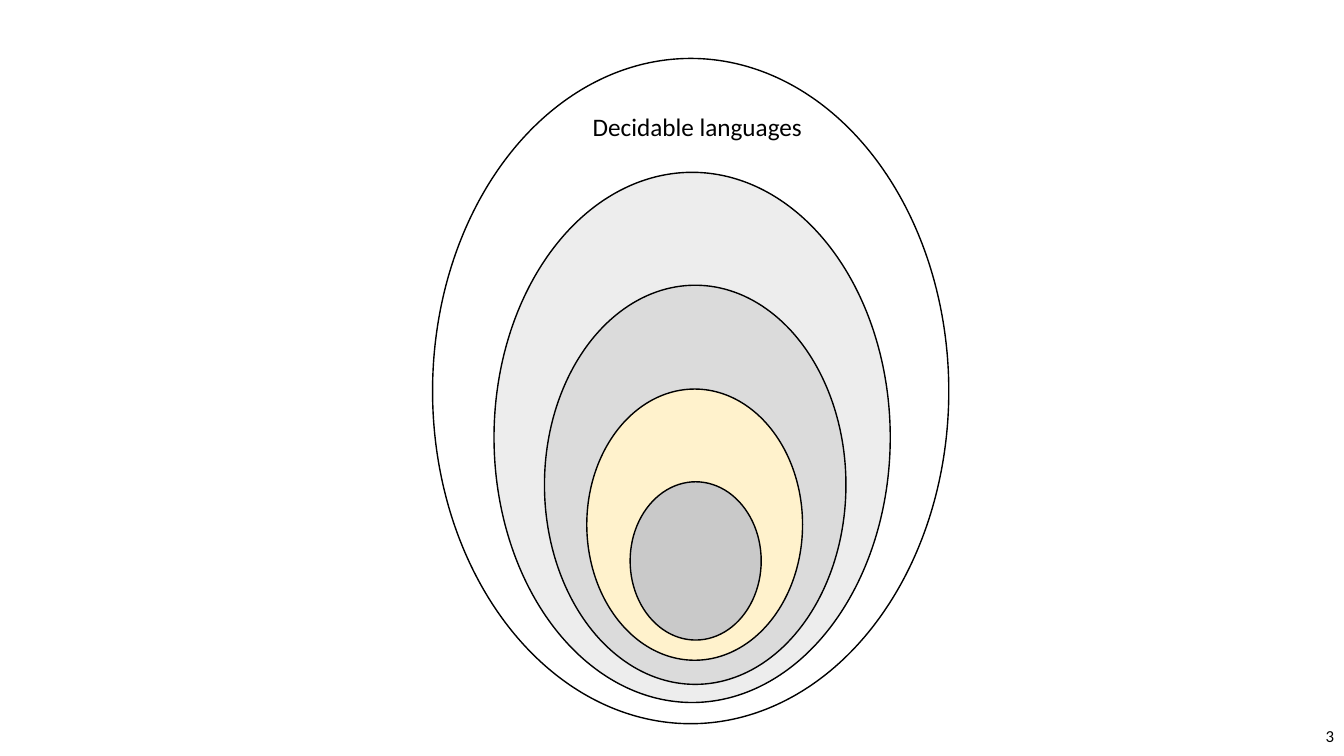
from typing import NamedTuple, Optional

from pptx import Presentation
from pptx import util as u
from pptx.dml.color import RGBColor
from pptx.enum import shapes, text

BLACK = RGBColor(0x00, 0x00, 0x00)
WHITE = RGBColor(0xFF, 0xFF, 0xFF)
PALE = RGBColor(0xED, 0xED, 0xED)
LIGHT = RGBColor(0xDB, 0xDB, 0xDB)
CREAM = RGBColor(0xFF, 0xF2, 0xCC)
GREY = RGBColor(0xC9, 0xC9, 0xC9)
FONT = "Calibri"


class Oval(NamedTuple):
    left: float
    top: float
    width: float
    height: float
    fill: Optional[RGBColor]


class Label(NamedTuple):
    left: float
    top: float
    width: float
    height: float
    words: str
    size: int
    align: text.PP_ALIGN
    anchor: text.MSO_ANCHOR
    fit: text.MSO_AUTO_SIZE


# Nested language classes, back to front; the outer ring is unfilled
OVALS = [
    Oval(4.9, 1.71, 3.93, 5.26, PALE),
    Oval(5.4, 2.83, 2.99, 3.96, LIGHT),
    Oval(5.82, 3.86, 2.14, 2.69, CREAM),
    Oval(6.25, 4.78, 1.3, 1.57, GREY),
    Oval(4.29, 0.58, 5.12, 6.6, None),
]

# Name of the outer class and the page number
LABELS = [
    Label(5.78, 1.06, 2.4, 0.4, "Decidable languages", 18,
          text.PP_ALIGN.LEFT, text.MSO_ANCHOR.TOP,
          text.MSO_AUTO_SIZE.SHAPE_TO_FIT_TEXT),
    Label(10.33, 7.1, 3, 0.4, "3", 12,
          text.PP_ALIGN.RIGHT, text.MSO_ANCHOR.MIDDLE,
          text.MSO_AUTO_SIZE.NONE),
]


def draw_oval(slide, oval: Oval) -> None:
    box = [u.Inches(n) for n in oval[:4]]
    shape = slide.shapes.add_shape(shapes.MSO_SHAPE.OVAL, *box)
    shape.shadow.inherit = False
    if oval.fill is None:
        shape.fill.background()
    else:
        shape.fill.solid()
        shape.fill.fore_color.rgb = oval.fill
    shape.line.color.rgb = BLACK
    shape.line.width = u.Pt(1)


def draw_label(slide, label: Label) -> None:
    box = [u.Inches(n) for n in label[:4]]
    frame = slide.shapes.add_textbox(*box).text_frame
    frame.word_wrap = True
    frame.auto_size = label.fit
    frame.vertical_anchor = label.anchor
    para = frame.paragraphs[0]
    para.alignment = label.align
    run = para.add_run()
    run.text = label.words
    run.font.name = FONT
    run.font.size = u.Pt(label.size)
    run.font.color.rgb = BLACK


def main() -> None:
    deck = Presentation()
    deck.slide_width = u.Inches(13.33)
    deck.slide_height = u.Inches(7.5)
    slide = deck.slides.add_slide(deck.slide_layouts[6])
    slide.background.fill.solid()
    slide.background.fill.fore_color.rgb = WHITE

    for oval in OVALS:
        draw_oval(slide, oval)
    for label in LABELS:
        draw_label(slide, label)

    deck.save("out.pptx")


if __name__ == "__main__":
    main()
